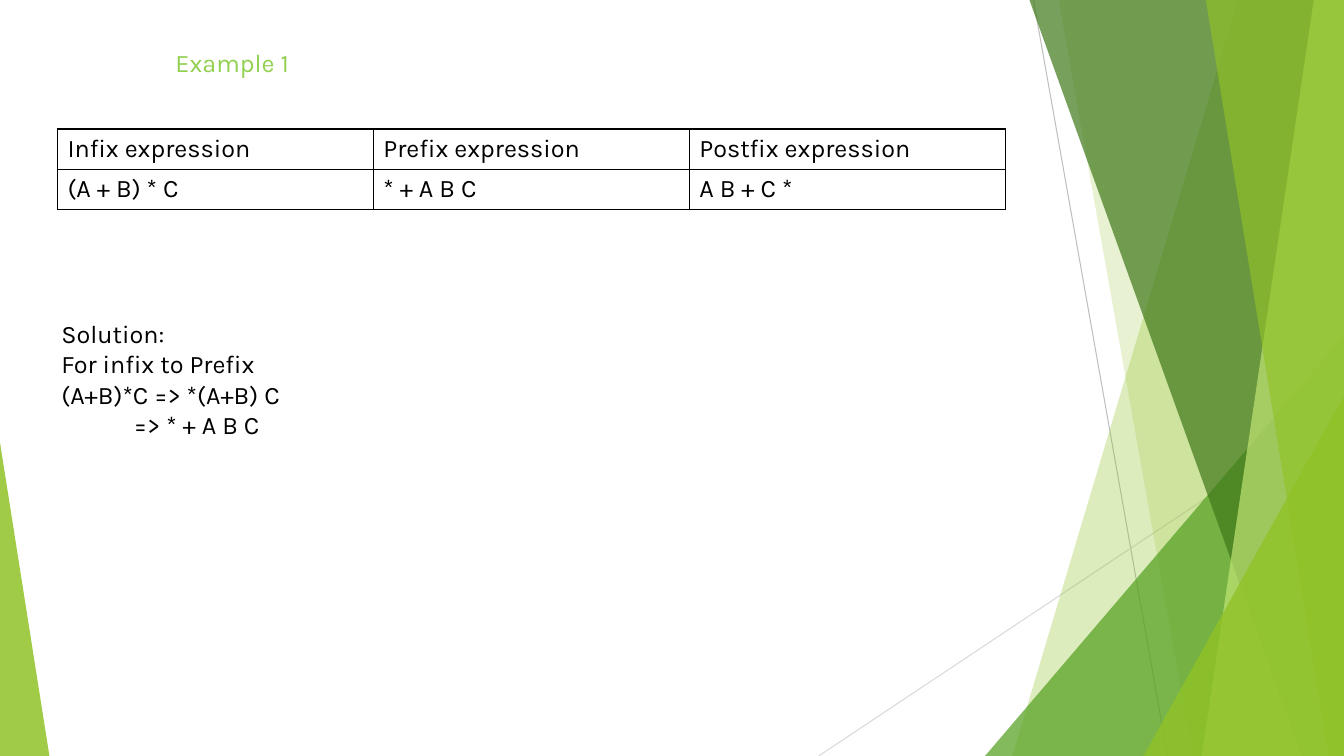
"""Builds the slide on infix, prefix and postfix expressions."""
from lxml import etree
from pptx import Presentation
from pptx import util as u
from pptx.dml.color import RGBColor
from pptx.enum import shapes, text
from pptx.oxml.ns import qn

FONT = "Karla"
WIDTH, HEIGHT = 13.33, 7.5
LIME, GREEN, FOREST, PALE = "90C226", "54A021", "3F7819", "C0E474"


def rgb(value):
    return RGBColor.from_string(value)


def put_text(tf, lines, size=18, color="000000", indents=None):
    for i, line in enumerate(lines):
        p = tf.paragraphs[0] if i == 0 else tf.add_paragraph()
        p.alignment = text.PP_ALIGN.LEFT
        indent = (indents or {}).get(i)
        if indent:
            p._p.get_or_add_pPr().set("marL", str(u.Inches(indent)))
        r = p.add_run()
        r.text = line
        r.font.size, r.font.name = u.Pt(size), FONT
        r.font.color.rgb = rgb(color)


class Deck:
    def __init__(self):
        self.prs = Presentation()
        self.prs.slide_width = u.Inches(WIDTH)
        self.prs.slide_height = u.Inches(HEIGHT)
        self.s = self.prs.slides.add_slide(self.prs.slide_layouts[5])

    def line(self, start, end, color, width=0.75):
        points = [u.Inches(v) for v in (*start, *end)]
        sp = self.s.shapes.add_connector(shapes.MSO_CONNECTOR.STRAIGHT, *points)
        sp.line.color.rgb, sp.line.width = rgb(color), u.Pt(width)
        etree.SubElement(sp._element.spPr, qn("a:effectLst"))

    def paint(self, sp, color, opacity):
        sp.shadow.inherit = False
        sp.fill.solid()
        sp.fill.fore_color.rgb = rgb(color)
        sp.line.fill.background()
        clr = sp._element.spPr.find(qn("a:solidFill"))[0]
        etree.SubElement(clr, qn("a:alpha"), val=str(opacity * 1000))

    def band(self, top_x, bottom_x, color, opacity):
        corners = [(WIDTH, 0), (WIDTH, HEIGHT), (bottom_x, HEIGHT)]
        fb = self.s.shapes.build_freeform(u.Inches(top_x), 0)
        fb.add_line_segments([(u.Inches(x), u.Inches(y)) for x, y in corners])
        self.paint(fb.convert_to_shape(), color, opacity)

    def triangle(self, left, top, width, apex, color, opacity):
        sp = self.s.shapes.add_shape(
            shapes.MSO_SHAPE.ISOSCELES_TRIANGLE, u.Inches(left), u.Inches(top),
            u.Inches(width), u.Inches(HEIGHT - top))
        sp.adjustments[0] = apex
        self.paint(sp, color, opacity)

    def table(self, left, top, width, row_height, rows):
        tbl = self.s.shapes.add_table(
            len(rows), len(rows[0]), u.Inches(left), u.Inches(top),
            u.Inches(width), u.Inches(row_height * len(rows))).table
        tbl.first_row = tbl.horz_banding = False
        for i, row in enumerate(rows):
            for j, value in enumerate(row):
                cell = tbl.cell(i, j)
                put_text(cell.text_frame, [value])
                self.borders(cell)
                cell.fill.background()

    def borders(self, cell, color="000000", width=1):
        tcPr = cell._tc.get_or_add_tcPr()
        for side in ("lnL", "lnR", "lnT", "lnB"):
            ln = etree.SubElement(tcPr, qn("a:" + side), w=str(u.Pt(width)))
            fill = etree.SubElement(ln, qn("a:solidFill"))
            etree.SubElement(fill, qn("a:srgbClr"), val=color)

    def place_text(self, sp, left, top, width, height, lines, **fmt):
        sp.left, sp.top = u.Inches(left), u.Inches(top)
        sp.width, sp.height = u.Inches(width), u.Inches(height)
        tf = sp.text_frame
        tf.word_wrap = True
        tf.auto_size = text.MSO_AUTO_SIZE.NONE
        tf.vertical_anchor = text.MSO_ANCHOR.TOP
        put_text(tf, lines, **fmt)

    def title(self, *box, **fmt):
        self.place_text(self.s.shapes.title, *box, **fmt)

    def textbox(self, *box, **fmt):
        self.place_text(self.s.shapes.add_textbox(0, 0, 0, 0), *box, **fmt)


deck = Deck()
deck.line((10.25, 0), (11.58, HEIGHT), "BFBFBF")
deck.line((WIDTH, 4.03), (8.12, HEIGHT), "D9D9D9")
deck.band(12.28, 10.04, LIME, 30)
deck.band(10.5, 11.83, LIME, 20)
deck.triangle(9.77, 3.33, 3.56, 1, GREEN, 72)
deck.band(10.21, 12.91, FOREST, 70)
deck.band(13.03, 11.92, PALE, 70)
deck.band(11.96, 13.18, LIME, 65)
deck.triangle(11.34, 3.93, 1.99, 1, LIME, 80)
deck.triangle(0, 4.39, 0.49, 0, LIME, 85)
deck.table(0.57, 1.28, 9.4, 0.4, [
    ("Infix expression", "Prefix expression", "Postfix expression"),
    ("(A + B) * C", "* + A B C", "A B + C *"),
])
deck.textbox(0.51, 3.11, 9.75, 1.31, [
    "Solution:",
    "For infix to Prefix",
    "(A+B)*C => *(A+B) C",
    "=> * + A B C",
], indents={3: 0.72})
deck.title(1.64, 0.42, 3, 0.4, ["Example 1"], color="92D050")
deck.prs.save("out.pptx")
